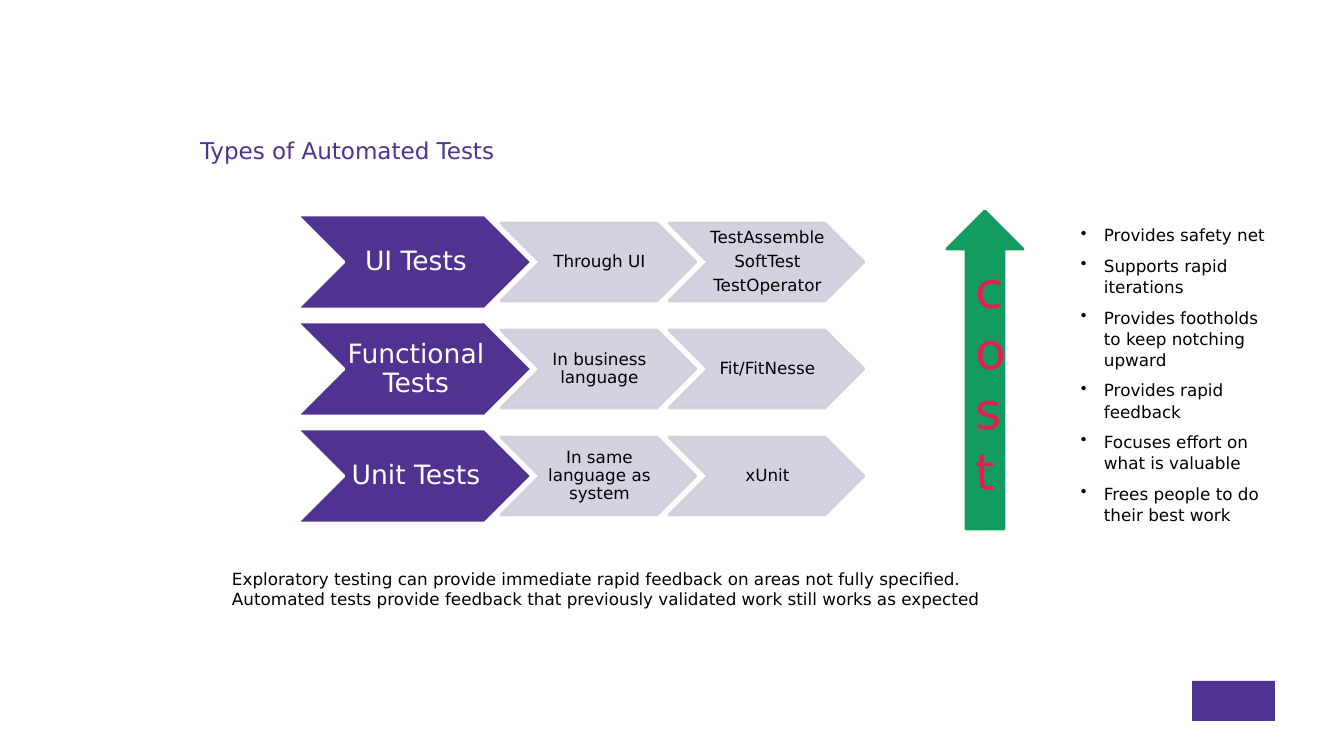
from dataclasses import dataclass
from pptx import Presentation
from pptx.dml.color import RGBColor
from pptx.enum.shapes import MSO_SHAPE as Shape
from pptx.enum.text import MSO_ANCHOR as Anchor, MSO_AUTO_SIZE as AutoSize, PP_ALIGN as Align
from pptx.oxml.ns import qn
from pptx.util import Pt
from lxml.etree import SubElement

EMU_PER_PX = 914400 / 100.8


@dataclass(frozen=True)
class Theme:
    font: str = "DejaVu Sans"
    purple: str = "503291"
    grey: str = "D0CEDC"
    green: str = "149B5F"
    red: str = "E61E50"
    white: str = "FFFFFF"
    black: str = "000000"
    title_size: float = 16.5
    test_size: int = 19
    body_size: int = 12
    cost_size: int = 36
    outline: int = 2
    grey_alpha: int = 90000


theme = Theme()


def px(*lengths):
    return [round(length * EMU_PER_PX) for length in lengths]


def write(frame, lines, size, color, align, insets=(0, 0, 0, 0)):
    frame.word_wrap = True
    frame.margin_left, frame.margin_top, frame.margin_right, frame.margin_bottom = px(*insets)
    frame.text = "\n".join(lines)
    for para in frame.paragraphs:
        para.alignment = align
        for span in para.runs:
            span.font.name = theme.font
            span.font.size = Pt(size)
            span.font.color.rgb = RGBColor.from_string(color)


deck = Presentation()
deck.slide_width, deck.slide_height = px(1344, 756)
page = deck.slides.add_slide(deck.slide_layouts[5])

title = page.shapes.title
title.left, title.top, title.width, title.height = px(200, 139, 907, 27)
write(title.text_frame, ["Types of Automated Tests"], theme.title_size, theme.purple,
      Align.LEFT, (0, 0, 0, 2))
title.text_frame.vertical_anchor = Anchor.BOTTOM
title.text_frame.auto_size = AutoSize.NONE
title.text_frame.paragraphs[0].line_spacing = Pt(18)

test_rows = [
    (["UI Tests"], ["Through UI"], ["TestAssemble", "SoftTest", "TestOperator"]),
    (["Functional Tests"], ["In business language"], ["Fit/FitNesse"]),
    (["Unit Tests"], ["In same language as system"], ["xUnit"]),
]
columns = [
    (297, 0, 235, 94, theme.purple, theme.white, theme.test_size, theme.white, 3),
    (501, 8, 195, 78, theme.grey, theme.grey, theme.body_size, theme.black, 2),
    (669, 8, 195, 78, theme.grey, theme.grey, theme.body_size, theme.black, 2),
]
for row, cells in enumerate(test_rows):
    for lines, column in zip(cells, columns):
        left, drop, width, height, fill, outline, size, color, inset = column
        chevron = page.shapes.add_shape(
            Shape.CHEVRON, *px(left, 215 + 107 * row + drop, width, height))
        chevron.shadow.inherit = False
        chevron.fill.solid()
        chevron.fill.fore_color.rgb = RGBColor.from_string(fill)
        chevron.line.color.rgb = RGBColor.from_string(outline)
        chevron.line.width = Pt(theme.outline)
        if fill == theme.grey:
            for tint in chevron.element.spPr.iter(qn("a:srgbClr")):
                SubElement(tint, qn("a:alpha"), val=str(theme.grey_alpha))
        write(chevron.text_frame, lines, size, color, Align.CENTER, (inset, 1, 0, 1))
        chevron.text_frame.vertical_anchor = Anchor.MIDDLE
        for para in chevron.text_frame.paragraphs:
            para.line_spacing = 0.9
            para.space_after = Pt(round(size * 0.35, 1))

cost_arrow = page.shapes.add_shape(Shape.UP_ARROW, *px(947, 211, 76, 318))
cost_arrow.shadow.inherit = False
cost_arrow.fill.solid()
cost_arrow.fill.fore_color.rgb = RGBColor.from_string(theme.green)
cost_arrow.line.color.rgb = RGBColor.from_string(theme.green)
cost_arrow.line.width = Pt(theme.outline)
write(cost_arrow.text_frame, ["cost"], theme.cost_size, theme.red, Align.CENTER, (10, 5, 10, 5))
cost_arrow.text_frame.vertical_anchor = Anchor.MIDDLE

summary = page.shapes.add_textbox(*px(232, 569, 780, 63))
write(summary.text_frame, [
    "Exploratory testing can provide immediate rapid feedback on areas not fully specified.",
    "Automated tests provide feedback that previously validated work still works as expected",
], theme.body_size, theme.black, Align.LEFT)

benefits = page.shapes.add_textbox(*px(1081, 224, 197, 406))
write(benefits.text_frame, [
    "Provides safety net",
    "Supports rapid iterations",
    "Provides footholds to keep notching upward",
    "Provides rapid feedback",
    "Focuses effort on what is valuable",
    "Frees people to do their best work",
], theme.body_size, theme.black, Align.LEFT)
indent = px(23)[0]
for number, para in enumerate(benefits.text_frame.paragraphs):
    properties = para._p.get_or_add_pPr()
    properties.set("marL", str(indent))
    properties.set("indent", str(-indent))
    SubElement(properties, qn("a:buChar"), char="•")
    para.line_spacing = 1.05
    para.space_before = Pt(4.5 if number else 0)
    para.space_after = Pt(2.2)

emblem = page.shapes.add_shape(Shape.RECTANGLE, *px(1192, 681, 83, 40))
emblem.shadow.inherit = False
emblem.fill.solid()
emblem.fill.fore_color.rgb = RGBColor.from_string(theme.purple)
emblem.line.fill.background()

deck.save("out.pptx")
